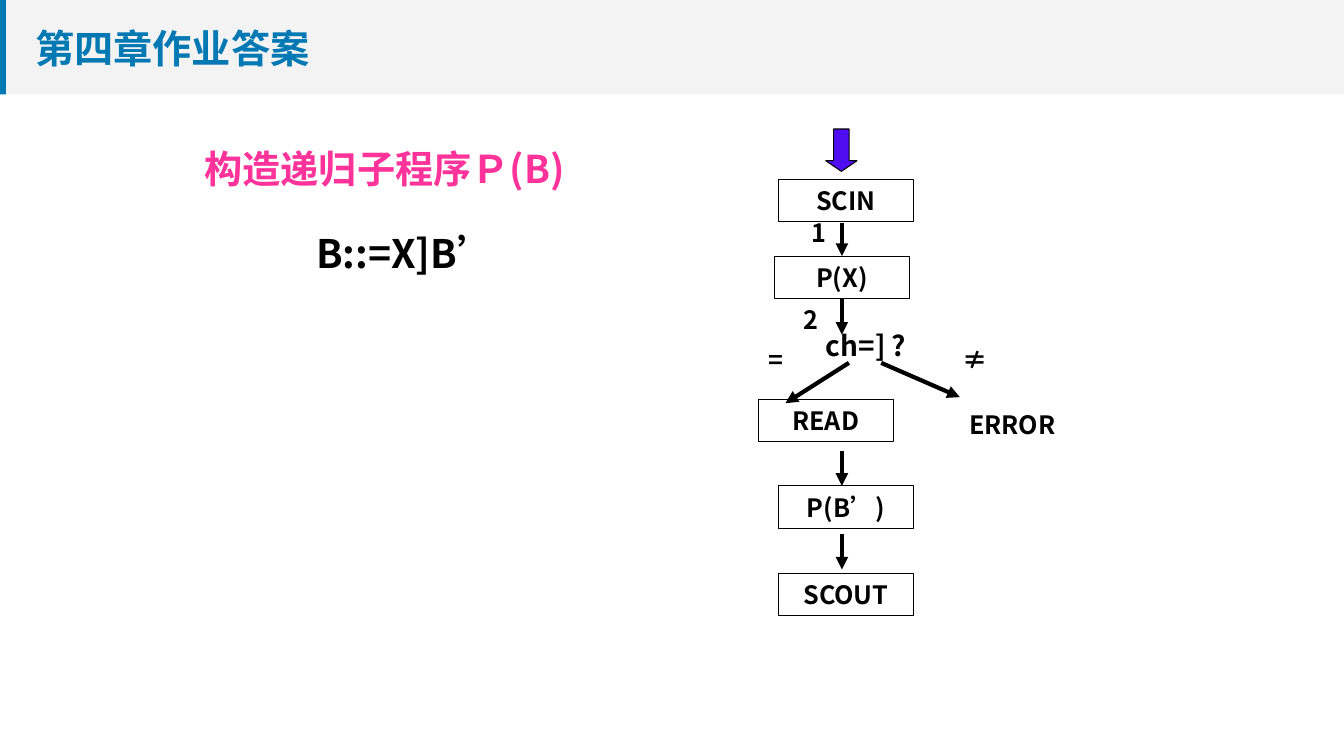
"""Build a slide with the flowchart of the recursive subroutine P(B)."""
import pptx
import pptx.dml.color
import pptx.enum.shapes
import pptx.enum.text
import pptx.oxml
import pptx.oxml.ns
import pptx.util

Inches = pptx.util.Inches
RGBColor = pptx.dml.color.RGBColor
Shape = pptx.enum.shapes.MSO_SHAPE
Align = pptx.enum.text.PP_ALIGN
Anchor = pptx.enum.text.MSO_ANCHOR

BLUE = RGBColor(0x00, 0x78, 0xB4)
GRAY = RGBColor(0xD9, 0xD9, 0xD9)
PINK = RGBColor(0xFF, 0x33, 0x99)
VIOLET = RGBColor(0x4F, 0x0E, 0xF2)
BLACK = RGBColor(0, 0, 0)
FONT = "Noto Sans CJK SC"
WIDTH, HEIGHT = 13.33, 7.5
HEADER_HEIGHT = HEIGHT / 8
STEP_WIDTH, STEP_HEIGHT = 1.34, 0.42
LABEL_SIZE = (0.32, 0.4)
AXIS, ARROW_LENGTH = 8.35, 0.35

TITLE = "第四章作业答案"
HEADING = "构造递归子程序Ｐ(B)"
RULE = "B::=X]B’"
STEPS = [
    ("SCIN", 7.72, 1.78),
    ("P(X)", 7.68, 2.54),
    ("READ", 7.52, 3.96),
    ("P(B’)", 7.72, 4.82),
    ("SCOUT", 7.72, 5.69),
]
ERROR = ("ERROR", 9.37, 4.0)
LABELS = [("1", 7.95, 2.11), ("2", 7.87, 2.97), ("=", 7.52, 3.37), ("≠", 9.45, 3.37)]
TEST = ("ch=] ?", 7.92, 3.21)
DOWN_ARROW_TOPS = [2.21, 2.97, 4.47, 5.3]
BRANCHES = [((8.42, 3.6), (7.79, 4.0)), ((8.74, 3.6), (9.52, 3.94))]


def write(shape, text, size, color=BLACK, align=Align.CENTER, anchor=Anchor.TOP, wrap=True):
    frame = shape.text_frame
    frame.text = text
    frame.word_wrap = wrap
    frame.vertical_anchor = anchor
    paragraph = frame.paragraphs[0]
    paragraph.alignment = align
    font = paragraph.font
    font.name, font.size, font.bold = FONT, pptx.util.Pt(size), True
    font.color.rgb = color
    properties = paragraph.runs[0].font._element
    properties.set("lang", "zh-CN")
    for tag in ("a:latin", "a:ea"):
        face = pptx.oxml.ns.qn(tag)
        properties.append(properties.makeelement(face, {"typeface": FONT}))
    return paragraph


def add_text(slide, text, box, size, **style):
    shape = slide.shapes.add_textbox(*map(Inches, box))
    return write(shape, text, size, **style)


def add_filled(slide, kind, box, fill=None, line=None):
    shape = slide.shapes.add_shape(kind, *map(Inches, box))
    shape.shadow.inherit = False
    if fill is None:
        shape.fill.background()
    else:
        shape.fill.solid()
        shape.fill.fore_color.rgb = fill
    if line is None:
        shape.line.fill.background()
    else:
        shape.line.color.rgb = line
        shape.line.width = pptx.util.Pt(0.75)
    return shape


def add_arrow(slide, start, end):
    arrow = slide.shapes.add_connector(
        pptx.enum.shapes.MSO_CONNECTOR.STRAIGHT, *map(Inches, start + end))
    arrow.line.color.rgb = BLACK
    arrow.line.width = pptx.util.Pt(3)
    pptx.oxml.ns.qn("a:ln")
    line = arrow.line._get_or_add_ln()
    line.append(line.makeelement(pptx.oxml.ns.qn("a:tailEnd"), {"type": "triangle"}))
    properties = arrow._element.spPr
    properties.append(properties.makeelement(pptx.oxml.ns.qn("a:effectLst"), {}))
    return arrow


def add_header(slide):
    band = add_filled(slide, Shape.RECTANGLE, (0, 0, WIDTH, HEADER_HEIGHT), GRAY)
    color = band._element.spPr.find(".//" + pptx.oxml.ns.qn("a:srgbClr"))
    color.append(color.makeelement(pptx.oxml.ns.qn("a:alpha"), {"val": "30000"}))
    accent = add_filled(slide, Shape.RECTANGLE, (0, 0, 0.06, HEADER_HEIGHT), BLUE)
    title = slide.shapes.title
    title.left, title.top, title.width, title.height = map(Inches, (0.25, 0.18, 10.21, 0.59))
    write(title, TITLE, 28, BLUE, Align.LEFT, Anchor.MIDDLE)
    for shape in (band, accent):
        title._element.addprevious(shape._element)


def add_flowchart(slide):
    entry = add_filled(slide, Shape.DOWN_ARROW, (8.19, 1.28, 0.31, 0.42), VIOLET, BLACK)
    entry.adjustments[1] = 0.34
    steps = {}
    for text, left, top in STEPS:
        box = (left, top, STEP_WIDTH, STEP_HEIGHT)
        steps[text] = add_filled(slide, Shape.RECTANGLE, box, line=BLACK)
        write(steps[text], text, 18, anchor=Anchor.MIDDLE, wrap=False)
    text, *corner = ERROR
    add_text(slide, text, (*corner, STEP_WIDTH, STEP_HEIGHT), 18, anchor=Anchor.MIDDLE)
    for text, *corner in LABELS:
        add_text(slide, text, (*corner, *LABEL_SIZE), 18)
    text, *corner = TEST
    add_text(slide, text, (*corner, STEP_WIDTH, 0.44), 20)
    arrows = [add_arrow(slide, (AXIS, top), (AXIS, top + ARROW_LENGTH))
              for top in DOWN_ARROW_TOPS]
    arrows[0].end_connect(steps["P(X)"], 0)
    arrows[1].begin_connect(steps["P(X)"], 2)
    for start, end in BRANCHES:
        add_arrow(slide, start, end)


def main():
    presentation = pptx.Presentation()
    presentation.slide_width, presentation.slide_height = Inches(WIDTH), Inches(HEIGHT)
    slide = presentation.slides.add_slide(presentation.slide_layouts[5])
    add_header(slide)
    heading = add_text(slide, HEADING, (1.93, 1.23, 4.19, 0.93), 27.3,
                       color=PINK, align=Align.LEFT, anchor=Anchor.MIDDLE)
    heading.line_spacing = 0.9
    add_text(slide, RULE, (2.07, 2.23, 3.92, 1.27), 28)
    add_flowchart(slide)
    presentation.save("out.pptx")


if __name__ == "__main__":
    main()
